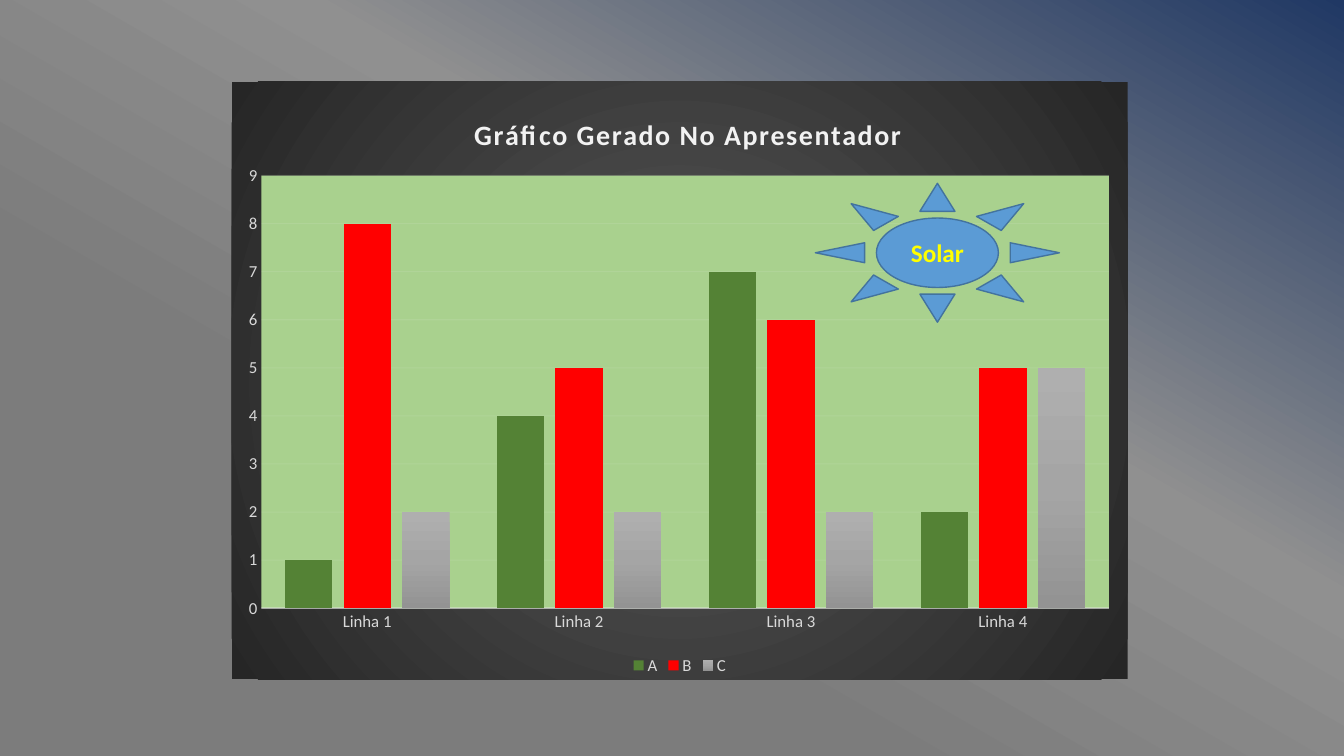
"""Build a slide with a clustered column chart and a sun badge."""
from pptx import Presentation
from pptx.chart.data import CategoryChartData
from pptx.dml.color import RGBColor
from pptx.enum.chart import XL_CHART_TYPE, XL_LEGEND_POSITION, XL_TICK_MARK
from pptx.enum.shapes import MSO_SHAPE
from pptx.enum.text import MSO_ANCHOR, PP_ALIGN
from pptx.oxml import parse_xml
from pptx.oxml.ns import nsdecls
from pptx.util import Cm, Pt

TITLE = "Gráfico Gerado No Apresentador"
BADGE = "Solar"
CATEGORIES = ["Linha 1", "Linha 2", "Linha 3", "Linha 4"]
SERIES = {"A": (1, 4, 7, 2), "B": (8, 5, 6, 5), "C": (2, 2, 2, 5)}
COLORS = {
    "A": "548235", "B": "FF0000", "C": "A5A5A5", "plot": "A9D18E",
    "label": "D9D9D9", "light": "F2F2F2", "sun": "5B9BD5",
    "sun line": "43739E", "badge": "FFFF00",
}
BACKGROUND_STOPS = [(0, "203864"), (39, "909090"), (67, "7C7C7C")]
CHART_STOPS = [(0, "595959"), (100, "262626")]
SERIES_STOPS = [(0, "AFAFAF"), (50, "A5A5A5"), (100, "939393")]
RADIAL = '<a:path path="circle"><a:fillToRect l="50000" t="50000" r="50000" b="50000"/></a:path>'
FONT = "Calibri"


def color(name):
    return RGBColor.from_string(COLORS[name])


def style_font(font, size, name, bold=False):
    font.name, font.size, font.bold = FONT, Pt(size), bold
    font.color.rgb = color(name)


def linear(degrees):
    return f'<a:lin ang="{degrees * 60000}" scaled="0"/>'


def gradient(stops, shading):
    marks = "".join(f'<a:gs pos="{position * 1000}"><a:srgbClr val="{value}"/></a:gs>'
                    for position, value in stops)
    return (f'<a:gradFill {nsdecls("a")} rotWithShape="1">'
            f'<a:gsLst>{marks}</a:gsLst>{shading}</a:gradFill>')


def replace_fill(owner, fill_xml):
    old = owner.xpath(".//a:solidFill")[0]
    old.getparent().replace(old, parse_xml(fill_xml))


def chart_area(fill_xml):
    return parse_xml(f'<c:spPr {nsdecls("c", "a")}>{fill_xml}<a:ln><a:noFill/></a:ln></c:spPr>')


def set_layout(parent, index, **places):
    for old in parent.xpath("./c:layout"):
        parent.remove(old)
    target = '<c:layoutTarget val="inner"/>' if "w" in places else ""
    modes = '<c:xMode val="edge"/><c:yMode val="edge"/>'
    values = "".join(f'<c:{key} val="{value}"/>' for key, value in places.items())
    parent.insert(index, parse_xml(
        f'<c:layout {nsdecls("c")}><c:manualLayout>{target}{modes}{values}'
        '</c:manualLayout></c:layout>'))


def style_line(line, owner, query, width, opacity):
    line.width = Pt(width)
    line.color.rgb = color("light")
    owner.xpath(query)[0].append(
        parse_xml(f'<a:alpha {nsdecls("a")} val="{opacity * 1000}"/>'))


def add_column_chart(slide):
    data = CategoryChartData()
    data.categories = CATEGORIES
    for name, values in SERIES.items():
        data.add_series(name, values)
    chart = slide.shapes.add_chart(XL_CHART_TYPE.COLUMN_CLUSTERED, Cm(5.84), Cm(2.06),
                                   Cm(22.58), Cm(15.06), data).chart
    style_font(chart.font, 12, "label")

    chart.has_title = True
    heading = chart.chart_title.text_frame
    heading.text = TITLE
    style_font(heading.paragraphs[0].font, 20, "light", bold=True)
    heading.paragraphs[0].font._element.set("spc", "100")

    chart.has_legend = True
    chart.legend.position = XL_LEGEND_POSITION.BOTTOM
    chart.legend.include_in_layout = False
    style_font(chart.legend.font, 12, "label")

    plot = chart.plots[0]
    plot.gap_width, plot.overlap, plot.vary_by_categories = 100, -24, False
    for series in plot.series:
        series.format.fill.solid()
        series.format.fill.fore_color.rgb = color(series.name)
    replace_fill(plot.series[2]._element, gradient(SERIES_STOPS, linear(90)))

    columns, values = chart.category_axis, chart.value_axis
    for axis in (columns, values):
        axis.major_tick_mark = axis.minor_tick_mark = XL_TICK_MARK.NONE
        style_font(axis.tick_labels.font, 12, "label")
    values.minimum_scale, values.maximum_scale, values.major_unit = 0, 9, 1
    values.format.line.fill.background()
    style_line(columns.format.line, chart.element, ".//c:catAx/c:spPr//a:srgbClr", 1, 54)
    style_line(values.major_gridlines.format.line, chart.element,
               ".//c:majorGridlines//a:srgbClr", 0.75, 10)

    body = chart.element.xpath("./c:chart")[0]
    plot_area = body.xpath("./c:plotArea")[0]
    set_layout(plot_area, 0, x=0.033, y=0.157, w=0.946, h=0.724)
    set_layout(body.xpath("./c:title")[0], 1, x=0.265, y=0.047)
    plot_area.append(chart_area(
        f'<a:solidFill><a:srgbClr val="{COLORS["plot"]}"/></a:solidFill>'))
    body.addnext(chart_area(gradient(CHART_STOPS, RADIAL)))


def add_sun(slide):
    sun = slide.shapes.add_shape(MSO_SHAPE.SUN, Cm(20.55), Cm(4.62), Cm(6.15), Cm(3.5))
    sun.shadow.inherit = False
    sun.fill.solid()
    sun.fill.fore_color.rgb = color("sun")
    sun.line.color.rgb = color("sun line")
    sun.line.width = Pt(1)
    frame = sun.text_frame
    frame.vertical_anchor = MSO_ANCHOR.MIDDLE
    frame.text = BADGE
    paragraph = frame.paragraphs[0]
    paragraph.alignment = PP_ALIGN.CENTER
    style_font(paragraph.font, 18, "badge", bold=True)


deck = Presentation()
deck.slide_width, deck.slide_height = Cm(33.87), Cm(19.05)
page = deck.slides.add_slide(deck.slide_layouts[6])
page.background.fill.solid()
replace_fill(page.element, gradient(BACKGROUND_STOPS, linear(120)))
add_column_chart(page)
add_sun(page)
deck.save("out.pptx")
